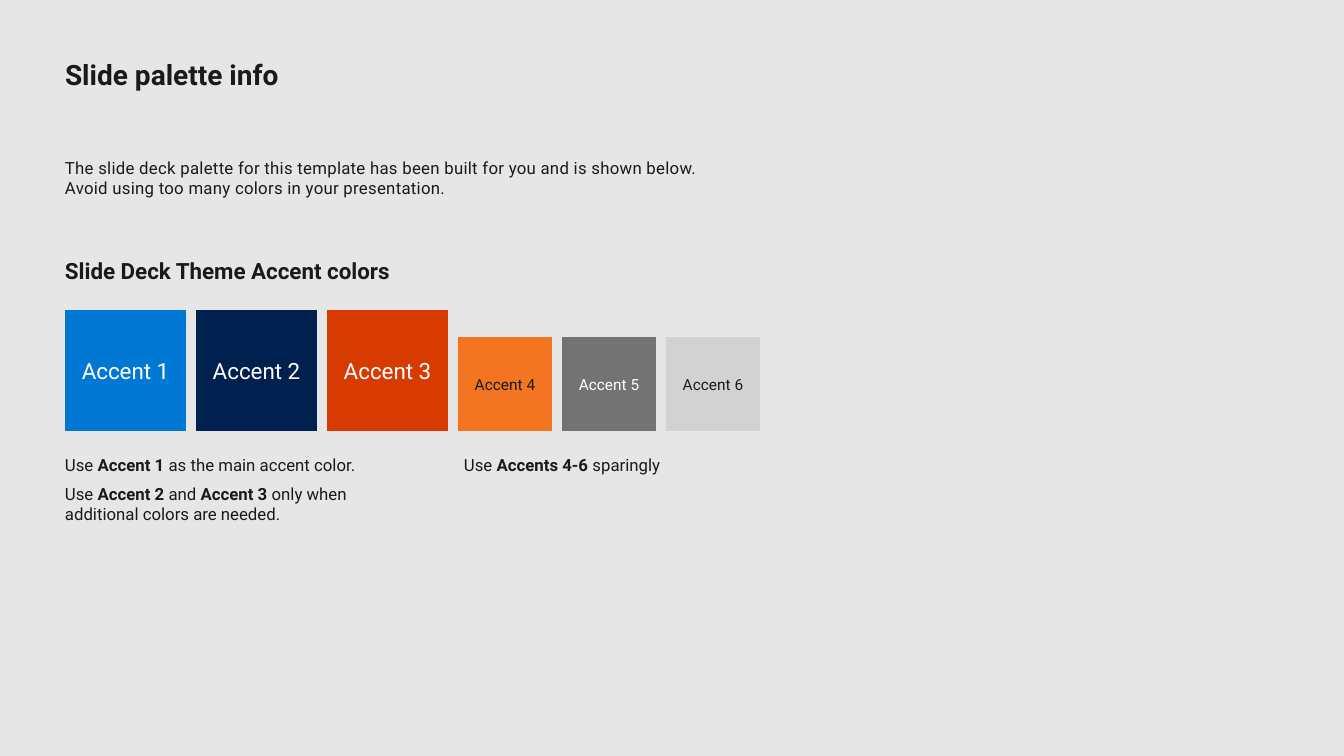
from lxml import etree
from pptx import Presentation
from pptx import util as u
from pptx.dml.color import RGBColor
from pptx.enum import shapes, text
from pptx.oxml.ns import qn

PAPER = RGBColor(0xE6, 0xE6, 0xE6)
INK = RGBColor(0x1A, 0x1A, 0x1A)
WHITE = RGBColor(0xFF, 0xFF, 0xFF)
BLUE = RGBColor(0x00, 0x78, 0xD4)
NAVY = RGBColor(0x00, 0x20, 0x50)
RED = RGBColor(0xD8, 0x3B, 0x01)
ORANGE = RGBColor(0xF3, 0x75, 0x21)
GRAY = RGBColor(0x73, 0x73, 0x73)
SILVER = RGBColor(0xD2, 0xD2, 0xD2)

LEFT, BASE, GAP = 65, 431, 10


def px(n):
    return u.Emu(round(n * 914400 / 100.8))


class Deck:
    face = "Roboto"

    def __init__(self):
        self.prs = Presentation()
        self.prs.slide_width, self.prs.slide_height = px(1344), px(756)
        self.slide = self.prs.slides.add_slide(self.prs.slide_layouts[6])
        fill = self.slide.background.fill
        fill.solid()
        fill.fore_color.rgb = PAPER

    def style(self, para, size, color, bold=None):
        font = para.font
        font.name, font.size, font.bold = self.face, u.Pt(size), bold
        font.color.rgb = color

    def frame(self, shape):
        frame = shape.text_frame
        frame.word_wrap = True
        frame.margin_left = frame.margin_right = 0
        frame.margin_top = frame.margin_bottom = 0
        return frame

    def label(self, x, y, w, h, paras, size, bold=None, before=0, track=0):
        box = self.slide.shapes.add_textbox(px(x), px(y), px(w), px(h))
        frame = self.frame(box)
        for i, parts in enumerate(paras):
            para = frame.paragraphs[0] if i == 0 else frame.add_paragraph()
            if i:
                para.space_before = u.Pt(before)
            self.style(para, size, INK, bold)
            for j, part in enumerate(parts):
                for k, line in enumerate(part.split("\n")):
                    if k:
                        para.add_line_break()
                        mark = etree.SubElement(para._p[-1], qn("a:rPr"))
                        mark.set("sz", str(size * 100))
                    run = para.add_run()
                    run.text = line
                    if len(parts) > 1:
                        run.font.bold = j % 2 == 1
                    if track:
                        run._r.get_or_add_rPr().set("spc", str(track))

    def tile(self, x, side, fill, words, size, color):
        box = self.slide.shapes.add_shape(
            shapes.MSO_SHAPE.RECTANGLE, px(x), px(BASE - side), px(side), px(side))
        box.shadow.inherit = False
        box.fill.solid()
        box.fill.fore_color.rgb = fill
        box.line.fill.background()
        frame = self.frame(box)
        frame.vertical_anchor = text.MSO_ANCHOR.MIDDLE
        para = frame.paragraphs[0]
        para.text = words
        para.alignment = text.PP_ALIGN.CENTER
        self.style(para, size, color)


def main():
    deck = Deck()
    deck.label(LEFT, 57, 607, 34, [["Slide palette info"]], 20, bold=True)
    deck.label(LEFT, 158, 1098, 40, [
        ["The slide deck palette for this template has been built for you and is shown below."],
        ["Avoid using too many colors in your presentation."],
    ], 12, track=20)
    deck.label(LEFT, 257, 694, 27, [["Slide Deck Theme Accent colors"]], 16, bold=True)
    deck.label(LEFT, 455, 384, 70, [
        ["Use ", "Accent 1 ", "as the main accent color."],
        ["Use ", "Accent 2", " and ", "Accent 3", " only when \nadditional colors are needed."],
    ], 12, before=6)
    deck.label(464, 455, 306, 20, [["Use ", "Accents 4-6 ", "sparingly"]], 12)

    tiles = [(BLUE, WHITE), (NAVY, WHITE), (RED, WHITE),
             (ORANGE, INK), (GRAY, WHITE), (SILVER, INK)]
    x = LEFT
    for i, (fill, color) in enumerate(tiles, 1):
        side, size = (121, 16) if i <= 3 else (94, 11)
        deck.tile(x, side, fill, f"Accent {i}", size, color)
        x += side + GAP

    deck.prs.save("out.pptx")


if __name__ == "__main__":
    main()
